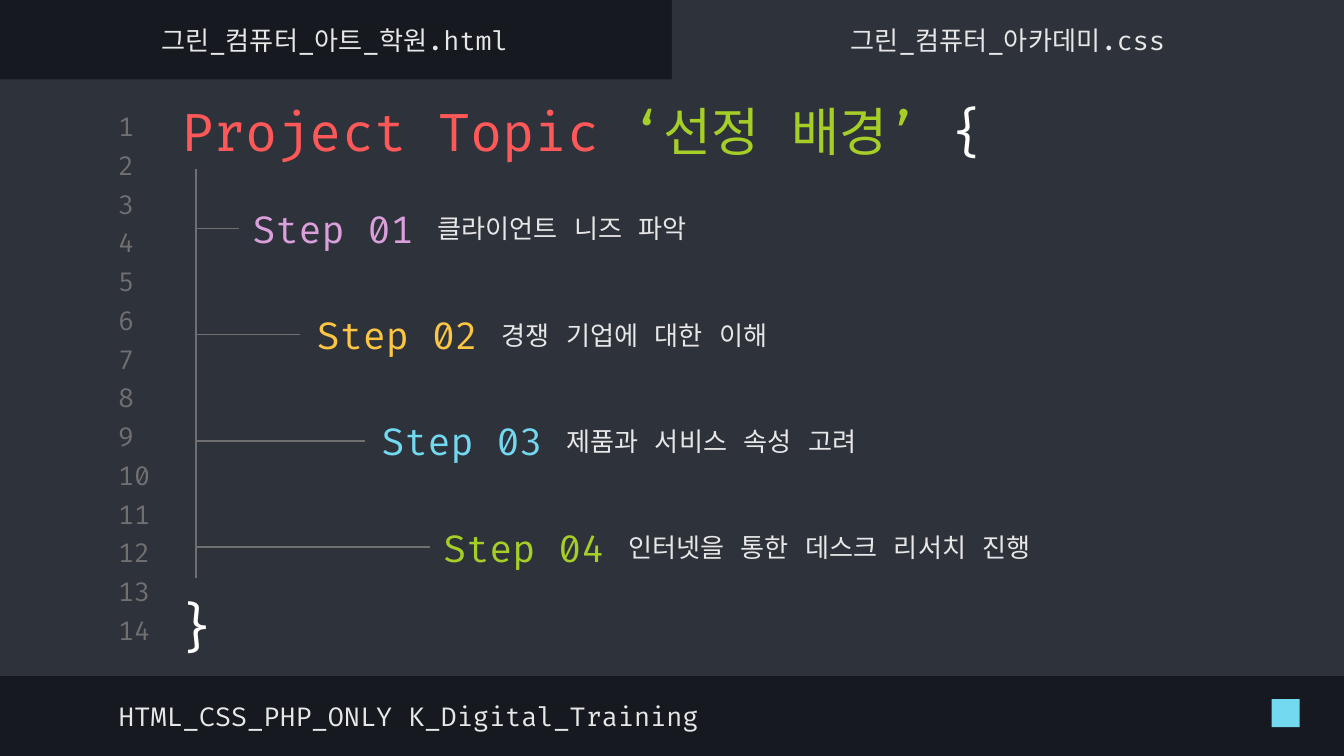
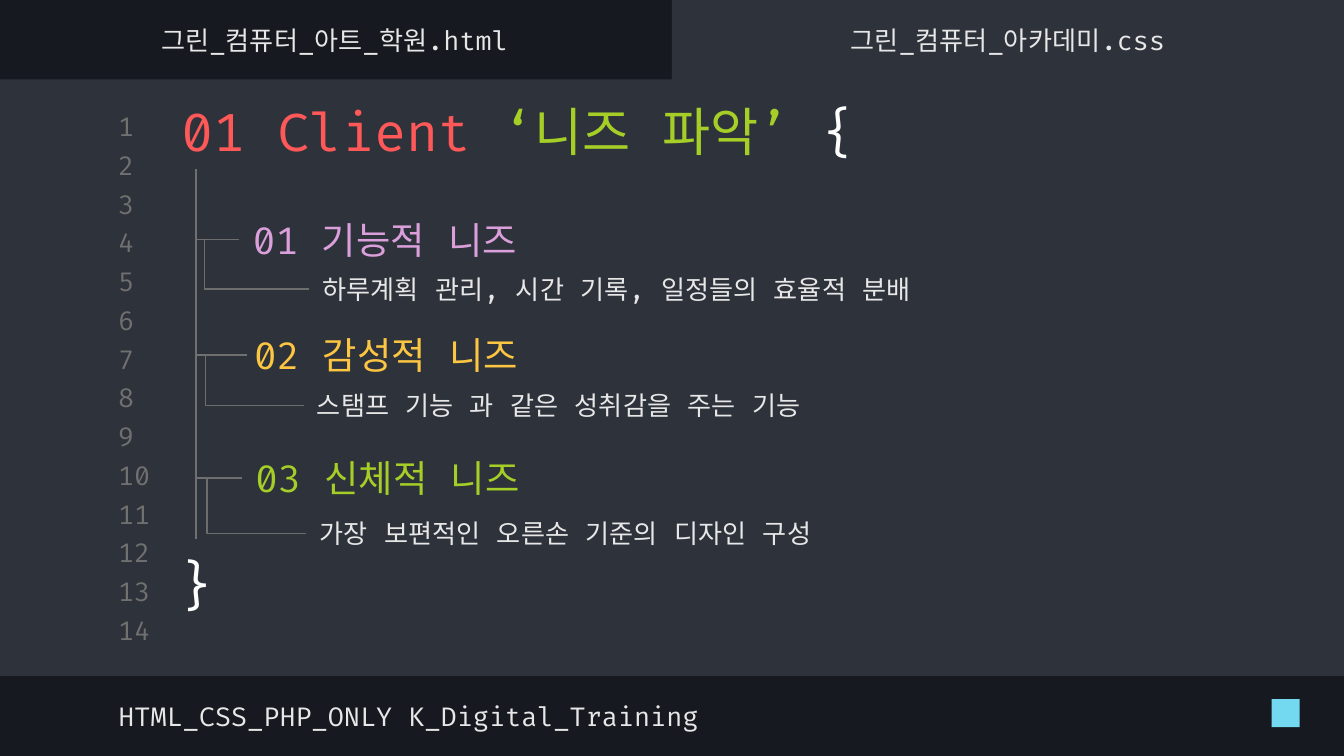
from lxml import etree
from pptx import Presentation
from pptx.dml.color import RGBColor
from pptx.enum.shapes import MSO_CONNECTOR, MSO_SHAPE
from pptx.enum.text import MSO_ANCHOR, MSO_AUTO_SIZE, PP_ALIGN
from pptx.oxml.ns import qn
from pptx.util import Pt

STRAIGHT, ELBOW = MSO_CONNECTOR.STRAIGHT, MSO_CONNECTOR.ELBOW
RECTANGLE = MSO_SHAPE.RECTANGLE
TOP, MIDDLE = MSO_ANCHOR.TOP, MSO_ANCHOR.MIDDLE
LEFT, CENTER = PP_ALIGN.LEFT, PP_ALIGN.CENTER
FIXED = MSO_AUTO_SIZE.NONE

FONT = "Fira Code"
DARK, PANEL, GREY, ELBOW_GREY = "16191F", "2E323B", "707070", "6D6D6D"
LIGHT, WHITE, RED = "E7E7E7", "FFFFFF", "FF5858"
PINK, YELLOW, BLUE, GREEN = "DBA0DB", "FCC642", "72D9F0", "A5CF27"
COMPARISON_LAYOUT = 4
TRUNK_X, TRUNK_TOP = 105.1, 90.7
LABEL_HEIGHT = 46
ELBOW_REACH = 18.7


def write(shape, box, runs, size=14, anchor=MIDDLE, align=LEFT):
    shape.left, shape.top, shape.width, shape.height = map(Pt, box)
    frame = shape.text_frame
    frame.word_wrap = True
    frame.auto_size = FIXED
    frame.vertical_anchor = anchor
    frame.margin_left = frame.margin_right = Pt(7.2)
    frame.margin_top = frame.margin_bottom = Pt(7.2)
    paragraph = frame.paragraphs[0]
    properties = paragraph._p.get_or_add_pPr()
    properties.set("marL", "0")
    properties.set("indent", "0")
    etree.SubElement(properties, qn("a:buNone"))
    paragraph.alignment = align
    paragraph.space_before = Pt(0)
    for words, color in runs:
        run = paragraph.add_run()
        run.text = words
        run.font.size = Pt(size)
        run.font.bold = False
        run.font.color.rgb = RGBColor.from_string(color)
        run.font.name = FONT
        for script in ("a:ea", "a:cs"):
            etree.SubElement(run.font._element, qn(script)).set("typeface", FONT)


def connect(slide, kind, start, end, color=GREY):
    connector = slide.shapes.add_connector(kind, *map(Pt, start + end))
    connector.line.color.rgb = RGBColor.from_string(color)
    connector.line.width = Pt(0.75)
    etree.SubElement(connector.element.spPr, qn("a:effectLst"))
    return connector


prs = Presentation()
prs.slide_width, prs.slide_height = Pt(720), Pt(405)
backdrop = prs.slide_master.background.fill
backdrop.solid()
backdrop.fore_color.rgb = RGBColor.from_string(DARK)

panels = [
    ((0, 42.5, 720, 319.7), PANEL),
    ((360, 0, 360, 46.8), PANEL),
    ((681.2, 374.5, 15, 15), BLUE),
]
captions = [
    (1, (56.2, 369.4, 383, 28), "HTML_CSS_PHP_ONLY K_Digital_Training", LEFT),
    (2, (-0.7, 7.2, 360, 28), "그린_컴퓨터_아트_학원.html", CENTER),
    (3, (360, 7.2, 360, 28), "그린_컴퓨터_아카데미.css", CENTER),
]
headings = [
    ("Project Topic ", "‘선정 배경’ ", 311, 309.6),
    ("01 Client ", "‘니즈 파악’ ", 288.7, 288.7),
]

slides = []
for topic, quoted, brace_top, trunk_bottom in headings:
    slide = prs.slides.add_slide(prs.slide_layouts[COMPARISON_LAYOUT])
    slides.append(slide)
    spare = slide.placeholders[4].element
    spare.getparent().remove(spare)
    title = slide.shapes.title

    for box, color in panels:
        panel = slide.shapes.add_shape(RECTANGLE, *map(Pt, box))
        panel.shadow.inherit = False
        panel.fill.solid()
        panel.fill.fore_color.rgb = RGBColor.from_string(color)
        panel.line.fill.background()
        title.element.addprevious(panel.element)

    write(title, (90, 46, 574, 42.5),
          [(topic, RED), (quoted, GREEN), ("{", WHITE)], 28, TOP)
    for index, box, words, align in captions:
        write(slide.placeholders[index], box, [(words, LIGHT)], align=align)

    for number in range(14):
        box = (56.2, 59 + 20.75 * number, 33.8, 17.3)
        write(slide.shapes.add_textbox(0, 0, 0, 0), box,
              [(str(number + 1), GREY)])

    write(slide.shapes.add_textbox(0, 0, 0, 0), (85.7, brace_top, 39.6, 48.2),
          [("}", WHITE)], 28, TOP, CENTER)
    connect(slide, STRAIGHT, (TRUNK_X, TRUNK_TOP), (TRUNK_X, trunk_bottom))

background_slide, needs_slide = slides

steps = [
    ("Step 01", "클라이언트 니즈 파악", PINK, 128.2, 128.2),
    ("Step 02", "경쟁 기업에 대한 이해", YELLOW, 162.7, 160.6),
    ("Step 03", "제품과 서비스 속성 고려", BLUE, 197.3, 195.8),
    ("Step 04", "인터넷을 통한 데스크 리서치 진행", GREEN, 230.4, 230.4),
]
for row, (step, detail, color, left, branch_end) in enumerate(steps):
    top = 99.4 + 56.9 * row
    middle = top + LABEL_HEIGHT / 2
    write(background_slide.shapes.add_textbox(0, 0, 0, 0),
          (left, top, 102.2, LABEL_HEIGHT), [(step, color)], 20)
    write(background_slide.shapes.add_textbox(0, 0, 0, 0),
          (left + 99, top, 313, LABEL_HEIGHT), [(detail, LIGHT)])
    connect(background_slide, STRAIGHT, (TRUNK_X, middle), (branch_end, middle))

needs = [
    ("01 기능적 니즈", "하루계획 관리, 시간 기록, 일정들의 효율적 분배",
     PINK, 128.2, 105.2, 128.2, 165.6, 154.8),
    ("02 감성적 니즈", "스탬프 기능 과 같은 성취감을 주는 기능",
     YELLOW, 128.9, 167.2, 132.5, 162.7, 217.2),
    ("03 신체적 니즈", "가장 보편적인 오른손 기준의 디자인 구성",
     GREEN, 129.6, 233, 129.6, 164.2, 285.7),
]
for need, detail, color, left, top, branch_end, detail_left, detail_middle in needs:
    middle = top + LABEL_HEIGHT / 2
    write(needs_slide.shapes.add_textbox(0, 0, 0, 0),
          (left, top, 168, LABEL_HEIGHT), [(need, color)], 20)
    write(needs_slide.shapes.add_textbox(0, 0, 0, 0),
          (detail_left, detail_middle - 19.8, 402, 39.6), [(detail, LIGHT)])
    connect(needs_slide, STRAIGHT, (TRUNK_X, middle), (branch_end, middle))
    bracket = connect(needs_slide, ELBOW, (detail_left, detail_middle),
                      (left, middle), ELBOW_GREY)
    bend = 1 + ELBOW_REACH / (detail_left - left)
    guides = bracket.element.spPr.find(".//" + qn("a:avLst"))
    guide = etree.SubElement(guides, qn("a:gd"))
    guide.set("name", "adj1")
    guide.set("fmla", f"val {round(bend * 100000)}")

prs.save("out.pptx")
